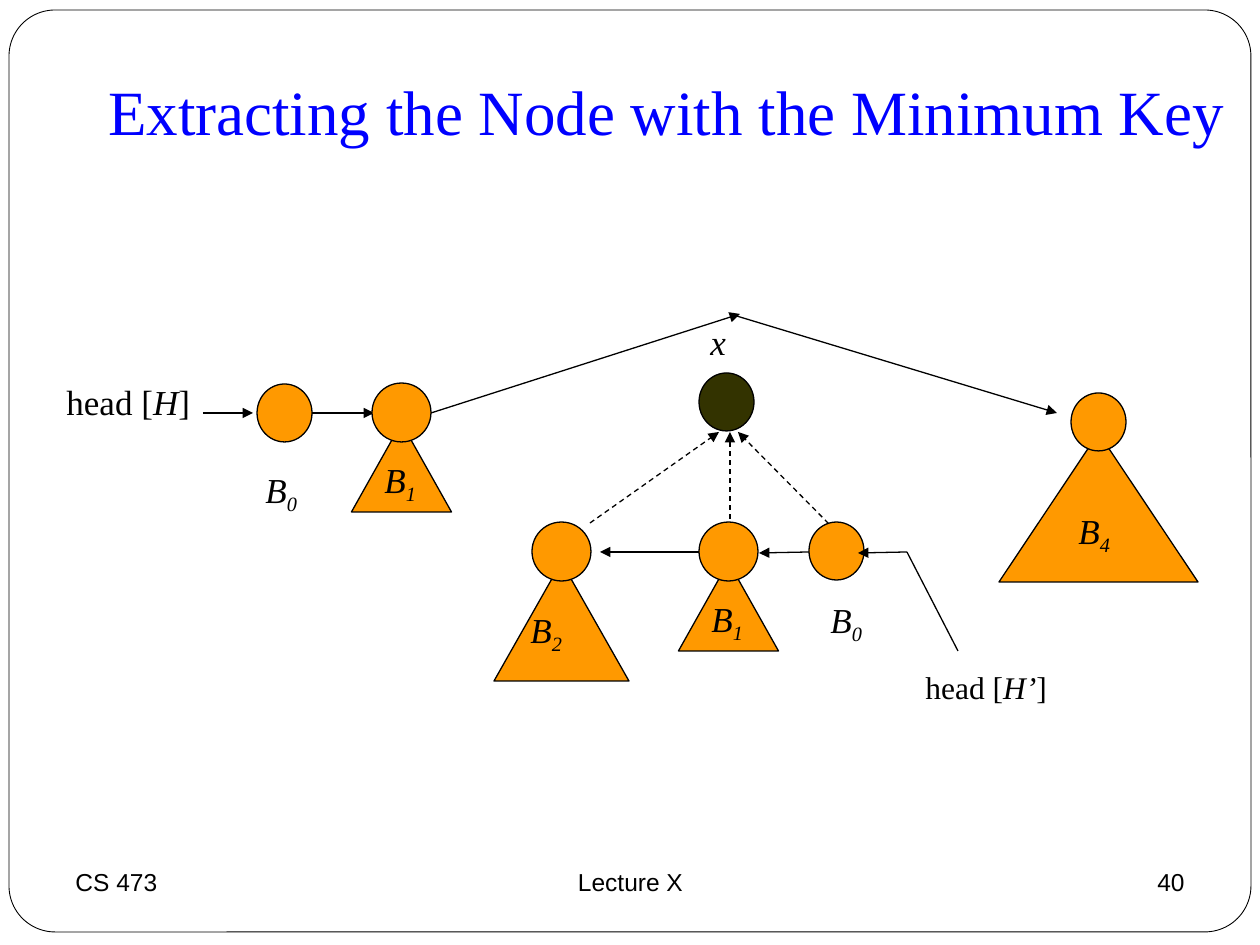
from collections import namedtuple
from dataclasses import dataclass

from lxml.etree import SubElement
from pptx import Presentation
from pptx.dml.color import RGBColor
from pptx.enum.dml import MSO_LINE
from pptx.enum.shapes import MSO_CONNECTOR, MSO_SHAPE
from pptx.enum.text import MSO_ANCHOR, PP_ALIGN
from pptx.oxml.ns import qn
from pptx.util import Pt

SCALE = 914400 / 126


@dataclass(frozen=True)
class Theme:
    """Hold the colours, fonts and sizes of the slide."""
    paper: RGBColor = RGBColor(255, 255, 255)
    ink: RGBColor = RGBColor(0, 0, 0)
    heading: RGBColor = RGBColor(0, 0, 255)
    tree: RGBColor = RGBColor(255, 153, 0)
    minimum: RGBColor = RGBColor(51, 51, 0)
    serif: str = "Times New Roman"
    sans: str = "Arial"
    title_size: int = 36
    label_size: int = 20
    small_size: int = 18
    footer_size: int = 14
    frame_line: float = 0.5
    line: float = 0.74


THEME = Theme()


class Box(namedtuple("Box", "left top width height")):
    """Describe an area in pixels."""

    def inside(self, left, top, width, height):
        """Return a box whose corner is offset from this one."""
        return Box(self.left + left, self.top + top, width, height)

    def emu(self):
        """Return the four lengths in EMU."""
        return [round(length * SCALE) for length in self]


def style_font(font, name, size, color):
    """Set the face, size and colour of a font."""
    font.name, font.size = name, Pt(size)
    font.color.rgb = color


def add_outline(page, kind, box, fill, weight=THEME.line):
    """Add a filled preset shape with a dark outline."""
    shape = page.shapes.add_shape(kind, *box.emu())
    shape.shadow.inherit = False
    shape.fill.solid()
    shape.fill.fore_color.rgb = fill
    shape.line.color.rgb = THEME.ink
    shape.line.width = Pt(weight)
    return shape


def add_text(page, box, pieces, size=THEME.label_size, face=THEME.serif, align=PP_ALIGN.LEFT):
    """Add a line of (text, italic, baseline) pieces."""
    frame = page.shapes.add_textbox(*box.emu()).text_frame
    frame.word_wrap = True
    para = frame.paragraphs[0]
    para.alignment = align
    style_font(para.font, face, size, THEME.ink)
    for text, italic, baseline in pieces:
        span = para.add_run()
        span.text = text
        span.font.italic = italic
        if baseline:
            span.font._element.set("baseline", str(baseline * 1000))


def add_line(page, box, start, end, dashed=False, arrow=True):
    """Add a line between two points offset from a box."""
    points = [round((origin + offset) * SCALE)
              for point in (start, end) for origin, offset in zip(box, point)]
    line = page.shapes.add_connector(MSO_CONNECTOR.STRAIGHT, *points)
    line.line.color.rgb = THEME.ink
    line.line.width = Pt(THEME.line)
    if dashed:
        line.line.dash_style = MSO_LINE.DASH
    if arrow:
        SubElement(line.line._get_or_add_ln(), qn("a:tailEnd"), type="triangle")
    SubElement(line._element.spPr, qn("a:effectLst"))


def draw_tree(page, box, order, label, triangle=None):
    """Draw a binomial tree whose root node fills the box."""
    if triangle:
        width, height = triangle
        area = box.inside((box.width - width) / 2, 40, width, height)
        add_outline(page, MSO_SHAPE.ISOSCELES_TRIANGLE, area, THEME.tree)
    add_outline(page, MSO_SHAPE.OVAL, box, THEME.tree)
    add_text(page, box.inside(*label, 80, 60), [("B", True, 0), (str(order), True, -25)])


def draw_head(page, box, name, size=THEME.label_size):
    """Label the head pointer of a heap."""
    add_text(page, box, [("head [", False, 0), (name, True, 0), ("]", False, 0)], size)


def draw_root_list(page, box):
    """Draw the root list with its minimum node."""
    for start, end in [((149, 100), (199, 100)), ((258, 100), (320, 100)),
                       ((377, 100), (686, 1)), ((676, 1), (1003, 100))]:
        add_line(page, box, start, end)
    draw_head(page, box.inside(0, 61, 160, 55), "H")
    draw_tree(page, box.inside(203, 71, 55, 58), 0, (-4, 78))
    draw_tree(page, box.inside(318, 70, 59, 59), 1, (0, 69), (100, 89))
    draw_tree(page, box.inside(1017, 80, 55, 58), 4, (-5, 110), (199, 149))
    add_outline(page, MSO_SHAPE.OVAL, box.inside(645, 60, 55, 58), THEME.minimum)
    add_text(page, box.inside(644, 1, 50, 55), [("x", True, 0)])


def draw_children(page, box):
    """Draw the reversed list of children of the minimum node."""
    for start, end in [((99, 91), (228, 0)), ((239, 87), (239, 0)), ((344, 98), (247, 0))]:
        add_line(page, box, start, end, dashed=True)
    draw_tree(page, box.inside(41, 90, 59, 59), 2, (-14, 80), (135, 119))
    draw_tree(page, box.inside(208, 90, 59, 59), 1, (0, 69), (100, 89))
    draw_tree(page, box.inside(318, 90, 55, 58), 0, (9, 70))
    for start, end in [((208, 120), (109, 120)), ((318, 120), (268, 121)),
                       ((416, 120), (367, 121))]:
        add_line(page, box, start, end)
    add_line(page, box, (416, 120), (467, 219), arrow=False)
    draw_head(page, box.inside(422, 230, 160, 50), "H’", THEME.small_size)


def draw_frame(page, box):
    """Draw the rounded page border behind everything."""
    frame = add_outline(page, MSO_SHAPE.ROUNDED_RECTANGLE, box, THEME.paper, THEME.frame_line)
    frame.adjustments[0] = 0.05
    page.shapes._spTree.insert(2, frame._element)


def draw_title(page, box, text):
    """Place and format the title."""
    title = page.shapes.title
    title.left, title.top, title.width, title.height = box.emu()
    frame = title.text_frame
    frame.text = text
    frame.word_wrap = True
    frame.vertical_anchor = MSO_ANCHOR.MIDDLE
    frame.margin_left = frame.margin_right = frame.margin_top = frame.margin_bottom = 0
    para = frame.paragraphs[0]
    para.alignment = PP_ALIGN.CENTER
    style_font(para.font, THEME.serif, THEME.title_size, THEME.heading)


def draw_footer(page, box):
    """Draw course, lecture and page number."""
    for left, width, text, align in [(0, 294, "CS 473", PP_ALIGN.LEFT),
                                     (368, 399, "Lecture X", PP_ALIGN.CENTER),
                                     (840, 294, "40", PP_ALIGN.RIGHT)]:
        add_text(page, box.inside(left, 0, width, box.height), [(text, False, 0)],
                 THEME.footer_size, THEME.sans, align)


def build():
    """Build and save the deck."""
    deck = Presentation()
    deck.slide_width, deck.slide_height = Box(0, 0, 1260, 945).emu()[2:]
    page = deck.slides.add_slide(deck.slide_layouts[5])
    draw_frame(page, Box(9, 10, 1242, 922))
    draw_title(page, Box(73, 32, 1187, 157), "Extracting the Node with the Minimum Key")
    draw_root_list(page, Box(54, 313, 1142, 269))
    draw_children(page, Box(491, 432, 582, 280))
    draw_footer(page, Box(63, 861, 1134, 65))
    deck.save("out.pptx")


build()
